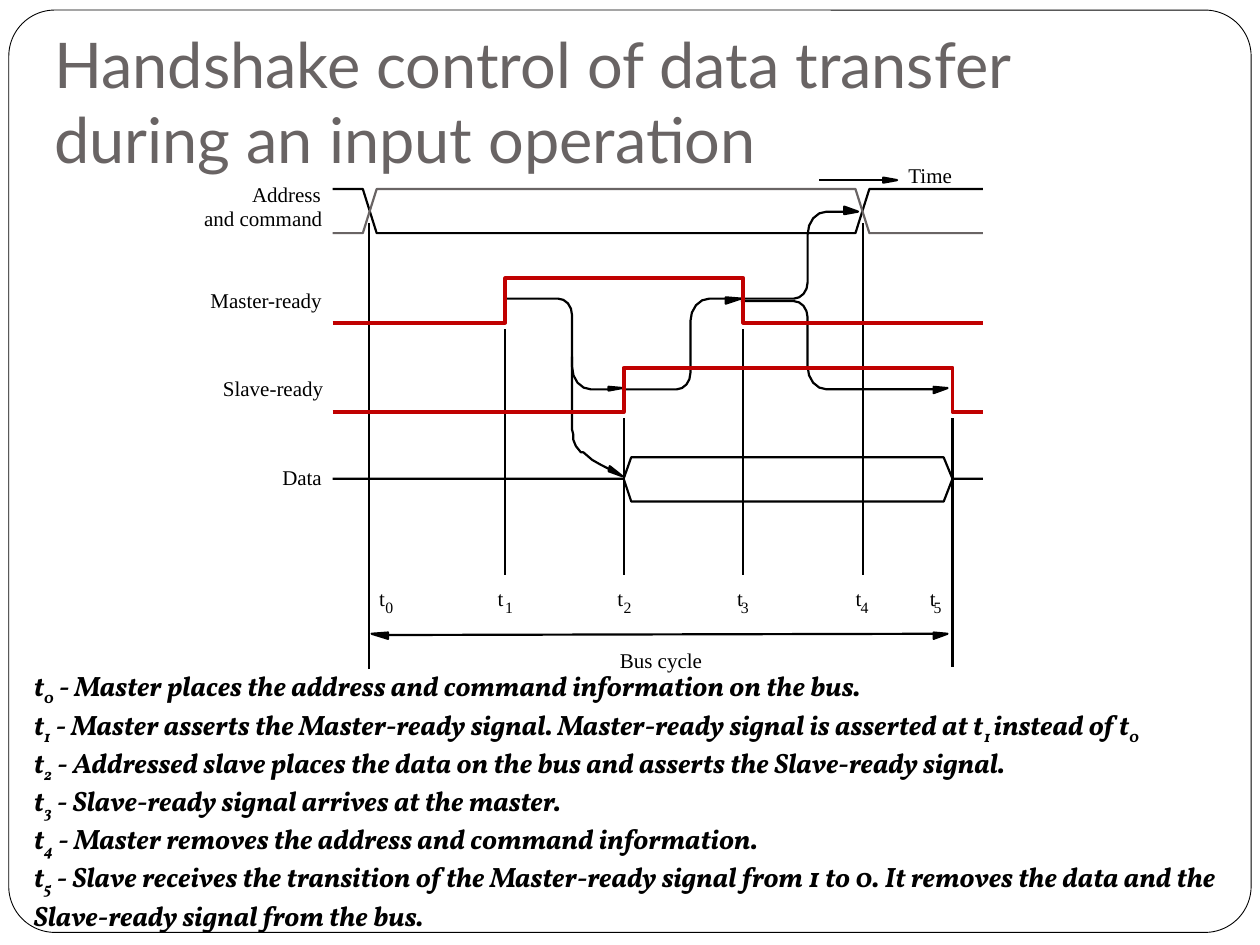
"""Build a slide with the handshake timing diagram of a bus input operation."""
import math
from dataclasses import dataclass

from lxml import etree
from pptx import Presentation
from pptx import util as u
from pptx.dml import color
from pptx.enum import shapes, text
from pptx.oxml import ns


@dataclass(frozen=True)
class Theme:
    """Colours, fonts and sizes of the slide."""
    black: str = "000000"
    white: str = "FFFFFF"
    grey: str = "696464"
    red: str = "C00000"
    title_font: str = "Lato"
    label_font: str = "Times New Roman"
    note_font: str = "Vollkorn"
    title_size: float = 36
    note_size: float = 16
    label_size: float = 12
    index_size: float = 9
    thin: float = 0.5
    normal: float = 1.25
    thick: float = 2.25


THEME = Theme()
LEFT, RIGHT = 2.64, 7.8
T0, T1, T2, T3, T4, T5 = 2.93, 4.01, 4.95, 5.9, 6.85, 7.56
ADDRESS, MASTER, SLAVE, DATA = 1.68, 2.37, 3.09, 3.8
LABELS = [
    ("Slave-ready", 1.77, 2.98, 0.8), ("Data", 2.24, 3.69, 0.32),
    ("Master-ready", 1.67, 2.28, 0.89), ("and command", 1.62, 1.63, 0.96),
    ("Address", 2, 1.44, 0.55), ("Bus cycle", 4.92, 5.14, 0.7),
    ("Time", 7.21, 1.29, 0.38),
]
TIME_LABELS = [(3.01, 3.06), (3.95, 4.01), (4.9, 4.95), (5.85, 5.88), (6.79, 6.83), (7.38, 7.41)]
TIME_LINES = [(T0, 1.77, 5.31), (T1, 2.61, 4.56), (T2, 3.32, 4.56),
              (T3, 2.61, 4.56), (T4, 1.77, 4.56), (T5, 3.32, 5.29)]
LINKS = [(T2, SLAVE, 5.48, MASTER, 5.76), (T1, MASTER, 4.54, SLAVE, 4.83),
         (5.88, MASTER, 6.41, ADDRESS, 6.7), (5.88, 2.39, 6.41, SLAVE, 7.41)]
DATA_LINK = [(4.54, 2.83), (4.54, 3.41), (4.55, 3.45), (4.55, 3.49), (4.57, 3.54),
             (4.61, 3.59), (4.63, 3.59), (4.7, 3.65), (4.77, 3.69), (4.83, 3.72)]
ARROW_HEADS = [
    [(3.08, 5.02), (2.95, 5.03), (3.08, 5.07)], [(7.41, 5.07), (7.52, 5.03), (7.41, 5.02)],
    [(5.76, 2.41), (5.88, 2.37), (5.76, 2.36)], [(4.83, 3.1), (4.94, 3.08), (4.83, 3.07)],
    [(6.7, 1.7), (6.81, 1.68), (6.7, 1.64)], [(7.41, 3.12), (7.52, 3.08), (7.41, 3.07)],
    [(4.83, 3.74), (4.94, 3.78), (4.84, 3.7)], [(7.01, 1.45), (7.12, 1.43), (7.01, 1.41)],
]
NOTES = [
    ["t", "0", " - Master places the address and command information on the bus."],
    ["t", "1", " - Master asserts the Master-ready signal. Master-ready signal is asserted at t",
     "1 ", "instead of t", "0"],
    ["t", "2", " - Addressed slave places the data on the bus and asserts the Slave-ready signal."],
    ["t", "3", " - Slave-ready signal arrives at the master."],
    ["t", "4", " - Master removes the address and command information."],
    ["t", "5", " - Slave receives the transition of the Master-ready signal from 1 to 0. "
     "It removes the data and the Slave-ready signal from the bus."],
]


def set_values(target, values):
    """Set each attribute named in a dict."""
    for name, value in values.items():
        setattr(target, name, value)


def format_font(font, name, size, colour=THEME.black, **values):
    """Format a font."""
    set_values(font, {"name": name, "size": u.Pt(size), **values})
    font.color.rgb = color.RGBColor.from_string(colour)


def format_line(line, colour, width):
    """Format an outline."""
    line.color.rgb = color.RGBColor.from_string(colour)
    line.width = u.Pt(width)


def format_shape(shape, colour, width, fill=None):
    """Format the outline and fill of a shape."""
    shape.shadow.inherit = False
    format_line(shape.line, colour, width)
    if fill:
        shape.fill.solid()
        shape.fill.fore_color.rgb = color.RGBColor.from_string(fill)
    else:
        shape.fill.background()


def add_frame(slide):
    """Add the rounded border behind everything."""
    shape = slide.shapes.add_shape(shapes.MSO_SHAPE.ROUNDED_RECTANGLE, u.Inches(0.07),
                                   u.Inches(0.08), u.Inches(9.86), u.Inches(7.32))
    shape.adjustments[0] = 0.05
    format_shape(shape, THEME.black, THEME.thin, THEME.white)
    slide.shapes._spTree.insert(2, shape._element)


def add_title(slide, wording):
    """Place and format the title."""
    title = slide.shapes.title
    set_values(title, {"left": u.Inches(0.33), "top": u.Inches(0.25),
                       "width": u.Inches(9.08), "height": u.Inches(1.25)})
    frame = title.text_frame
    set_values(frame, {"text": wording, "word_wrap": True, "auto_size": text.MSO_AUTO_SIZE.NONE,
                       "vertical_anchor": text.MSO_ANCHOR.BOTTOM,
                       "margin_bottom": u.Inches(0.1)})
    paragraph = frame.paragraphs[0]
    paragraph.alignment = text.PP_ALIGN.LEFT
    format_font(paragraph.runs[0].font, THEME.title_font, THEME.title_size, THEME.grey)


def add_label(slide, wording, left, top, width, size=THEME.label_size):
    """Add a one-line label without margins."""
    box = slide.shapes.add_textbox(u.Inches(left), u.Inches(top), u.Inches(width),
                                   u.Inches(size / 60))
    frame = box.text_frame
    margins = {f"margin_{side}": 0 for side in ("left", "top", "right", "bottom")}
    set_values(frame, {"text": wording, "word_wrap": False,
                       "auto_size": text.MSO_AUTO_SIZE.SHAPE_TO_FIT_TEXT, **margins})
    format_font(frame.paragraphs[0].runs[0].font, THEME.label_font, size)


def add_line(slide, start, end):
    """Add a straight line."""
    line = slide.shapes.add_connector(shapes.MSO_CONNECTOR.STRAIGHT,
                                      *(u.Inches(value) for value in (*start, *end)))
    format_line(line.line, THEME.black, THEME.normal)
    etree.SubElement(line._element.spPr, ns.qn("a:effectLst"))


def add_outline(slide, points, colour=THEME.black, width=THEME.normal, fill=None):
    """Add a freeform through points, closed when it is filled."""
    (left, top), *rest = [(u.Inches(x), u.Inches(y)) for x, y in points]
    builder = slide.shapes.build_freeform(left, top)
    builder.add_line_segments(rest, close=bool(fill))
    format_shape(builder.convert_to_shape(), colour, width, fill)


def link_points(start, level, bend, end_level, end):
    """Return a path that leaves one level and reaches another by rounded bends."""
    sign = math.copysign(1, end_level - level)
    angles = [math.radians(step * 22.5) for step in range(5)]
    leave = [(bend - 0.11 * (1 - math.sin(a)), level + sign * 0.13 * (1 - math.cos(a)))
             for a in angles]
    arrive = [(bend + 0.15 * (1 - math.cos(a)), end_level - sign * 0.18 * (1 - math.sin(a)))
              for a in angles]
    return [(start, level), *leave, *arrive, (end, end_level)]


def pulse_points(rise, fall, low, high):
    """Return a signal that is high between two times."""
    return [(LEFT, low), (rise, low), (rise, high), (fall, high), (fall, low), (RIGHT, low)]


def address_points(outer, inner):
    """Return one half of the address signal, crossing at its two changes."""
    return [(LEFT, outer), (2.88, outer), (2.99, inner), (6.79, inner), (6.9, outer),
            (RIGHT, outer)]


def add_signals(slide):
    """Add the bus signals."""
    add_outline(slide, address_points(1.5, 1.85))
    add_outline(slide, address_points(1.85, 1.5), THEME.grey)
    add_outline(slide, [(T2, DATA), (5.01, 3.98), (7.49, 3.98), (T5, DATA)])
    add_outline(slide, [(LEFT, DATA), (T2, DATA), (5.01, 3.63), (7.49, 3.63), (T5, DATA),
                        (RIGHT, DATA)])
    add_outline(slide, pulse_points(T1, T3, 2.56, 2.21), THEME.red, THEME.thick)
    add_outline(slide, pulse_points(T2, T5, 3.27, 2.92), THEME.red, THEME.thick)


def add_notes(slide):
    """Add the explanation, in which every second run is a subscript."""
    box = slide.shapes.add_textbox(u.Inches(0.17), u.Inches(5.26), u.Inches(9.67), u.Inches(2.49))
    frame = box.text_frame
    frame.word_wrap = True
    for index, parts in enumerate(NOTES):
        paragraph = frame.add_paragraph() if index else frame.paragraphs[0]
        for position, part in enumerate(parts):
            run = paragraph.add_run()
            run.text = part
            format_font(run.font, THEME.note_font, THEME.note_size, bold=True, italic=True)
            if position % 2:
                run._r.get_or_add_rPr().set("baseline", "-25000")


def main():
    """Build and save the presentation."""
    presentation = Presentation()
    set_values(presentation, {"slide_width": u.Inches(10), "slide_height": u.Inches(7.5)})
    slide = presentation.slides.add_slide(presentation.slide_layouts[5])
    add_frame(slide)
    add_title(slide, "Handshake control of data transfer during an input operation")
    for label in LABELS:
        add_label(slide, *label)
    for x, top, bottom in TIME_LINES:
        add_line(slide, (x, bottom), (x, top))
    add_line(slide, (7.41, 5.03), (3.08, 5.04))
    add_line(slide, (7.01, 1.43), (6.5, 1.43))
    for link in LINKS:
        add_outline(slide, link_points(*link))
    add_outline(slide, DATA_LINK)
    for head in ARROW_HEADS:
        add_outline(slide, head, fill=THEME.black)
    add_signals(slide)
    for index, (left, index_left) in enumerate(TIME_LABELS):
        add_label(slide, "t", left, 4.65, 0.05)
        add_label(slide, str(index), index_left, 4.74, 0.06, THEME.index_size)
    add_notes(slide)
    presentation.save("out.pptx")


if __name__ == "__main__":
    main()
